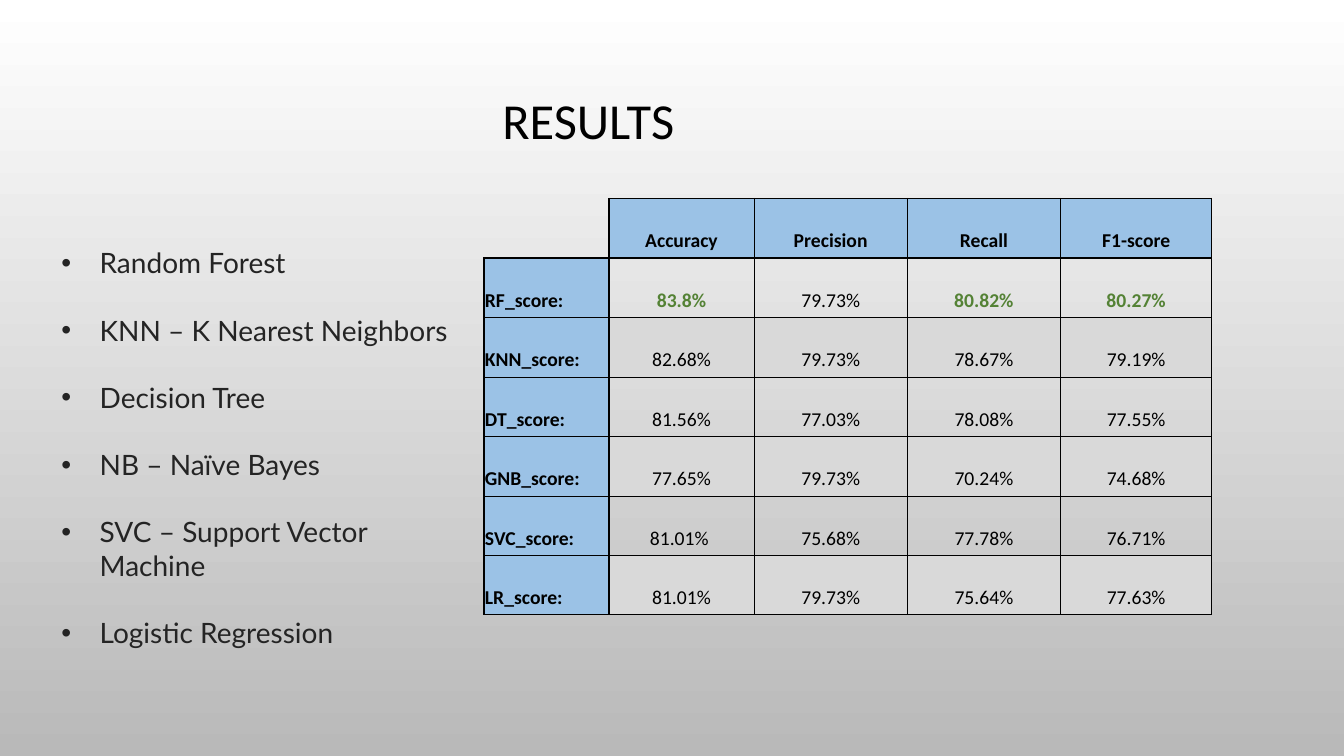
from lxml import etree
from pptx import Presentation
from pptx.dml.color import RGBColor
from pptx.enum.text import MSO_ANCHOR, PP_ALIGN
from pptx.oxml.ns import qn
from pptx.util import Pt

LEFT, CENTER = PP_ALIGN.LEFT, PP_ALIGN.CENTER
MIDDLE, BOTTOM = MSO_ANCHOR.MIDDLE, MSO_ANCHOR.BOTTOM

BLACK = RGBColor(0x00, 0x00, 0x00)
WHITE = RGBColor(0xFF, 0xFF, 0xFF)
INK = RGBColor(0x24, 0x24, 0x24)
BLUE = RGBColor(0x9B, 0xC2, 0xE6)
GREEN = RGBColor(0x54, 0x82, 0x35)
PALE = RGBColor(0xD9, 0xD9, 0xD9)
GRAY = RGBColor(0xB9, 0xB9, 0xB9)

MODELS = [
    "Random Forest",
    "KNN – K Nearest Neighbors",
    "Decision Tree",
    "NB – Naïve Bayes",
    "SVC – Support Vector Machine",
    "Logistic Regression",
]
SCORES = [
    ["", "Accuracy", "Precision", "Recall", "F1-score"],
    ["RF_score:", "83.8%", "79.73%", "80.82%", "80.27%"],
    ["KNN_score:", "82.68%", "79.73%", "78.67%", "79.19%"],
    ["DT_score:", "81.56%", "77.03%", "78.08%", "77.55%"],
    ["GNB_score:", "77.65%", "79.73%", "70.24%", "74.68%"],
    ["SVC_score:", "81.01% ", "75.68%", "77.78%", "76.71%"],
    ["LR_score:", "81.01%", "79.73%", "75.64%", "77.63%"],
]
BEST = {(1, 1), (1, 3), (1, 4)}
WIDTHS = [124, 144, 152, 152, 150]
ROW = 59


def px(n):
    """Turn px (100 to the inch) into EMU."""
    return n * 9144


def style(para, name, size, color, bold=False, align=LEFT):
    font = para.font
    font.name, font.size, font.bold = name, Pt(size), bold
    font.color.rgb = color
    para.alignment = align


def paint(slide):
    fill = slide.background.fill
    fill.gradient()
    fill.gradient_angle = 270
    for stop, color in zip(fill.gradient_stops, (WHITE, GRAY)):
        stop.color.rgb = color


def add_box(slide, x, y, w, h):
    frame = slide.shapes.add_textbox(px(x), px(y), px(w), px(h)).text_frame
    frame.word_wrap = True
    return frame


def add_title(slide, text):
    frame = add_box(slide, 240, 39, 687, 167)
    frame.vertical_anchor = MIDDLE
    para = frame.paragraphs[0]
    para.text = text
    para.line_spacing = 0.9
    style(para, "Calibri", 36, BLACK, align=CENTER)


def add_list(slide, items):
    frame = add_box(slide, 51, 206, 429, 448)
    frame.margin_top = px(38)
    frame.text = "\n".join(items)
    for para in frame.paragraphs:
        style(para, "Lato", 20, INK)
        para.space_after = Pt(24)
        props = para._p.get_or_add_pPr()
        props.set("marL", str(px(38)))
        props.set("indent", str(-px(38)))
        etree.SubElement(props, qn("a:buFont")).set("typeface", "Arial")
        # Bullet nodes must come before the default run properties.
        etree.SubElement(props, qn("a:buChar")).set("char", "•")
        last = props.find(qn("a:defRPr"))
        if last is not None:
            props.append(last)


def add_edge(cell, side, width):
    """Draw one cell border; a width of 0 hides it."""
    line = etree.SubElement(cell._tc.get_or_add_tcPr(), qn("a:ln" + side))
    line.set("w", str(Pt(width)))
    if width:
        fill = etree.SubElement(line, qn("a:solidFill"))
        etree.SubElement(fill, qn("a:srgbClr")).set("val", str(BLACK))
    else:
        etree.SubElement(line, qn("a:noFill"))


def add_edges(cell, row, col):
    """Use 1 pt around the headers and the grid, 0.5 pt inside."""
    outer = 0 if row == col == 0 else 1
    end, foot = len(WIDTHS) - 1, len(SCORES) - 1
    add_edge(cell, "L", outer if col < 2 else 0.5)
    add_edge(cell, "R", 1 if col in (0, end) else 0.5)
    add_edge(cell, "T", outer if row < 2 else 0.5)
    add_edge(cell, "B", 1 if row in (0, foot) else 0.5)


def fill_cell(cell, row, col, text):
    add_edges(cell, row, col)
    head = row == 0 or col == 0
    if not text or not head and row % 2:
        cell.fill.background()
    else:
        cell.fill.solid()
        cell.fill.fore_color.rgb = BLUE if head else PALE
    cell.margin_left = cell.margin_right = cell.margin_top = px(1)
    cell.margin_bottom = px(5)
    cell.vertical_anchor = BOTTOM
    cell.text = text
    best = (row, col) in BEST
    style(cell.text_frame.paragraphs[0], "Calibri", 14,
          GREEN if best else BLACK, head or best, CENTER if col else LEFT)


def add_scores(slide):
    rows, cols = len(SCORES), len(WIDTHS)
    grid = slide.shapes.add_table(rows, cols, px(480), px(197),
                                  px(sum(WIDTHS)), px(ROW * rows)).table
    grid.first_row = grid.horz_banding = False
    for col, width in zip(grid.columns, WIDTHS):
        col.width = px(width)
    for r, line in enumerate(SCORES):
        for c, text in enumerate(line):
            fill_cell(grid.cell(r, c), r, c, text)


def main():
    deck = Presentation()
    deck.slide_width, deck.slide_height = px(1333), px(750)
    slide = deck.slides.add_slide(deck.slide_layouts[6])
    paint(slide)
    add_title(slide, "RESULTS")
    add_list(slide, MODELS)
    add_scores(slide)
    deck.save("out.pptx")


if __name__ == "__main__":
    main()
